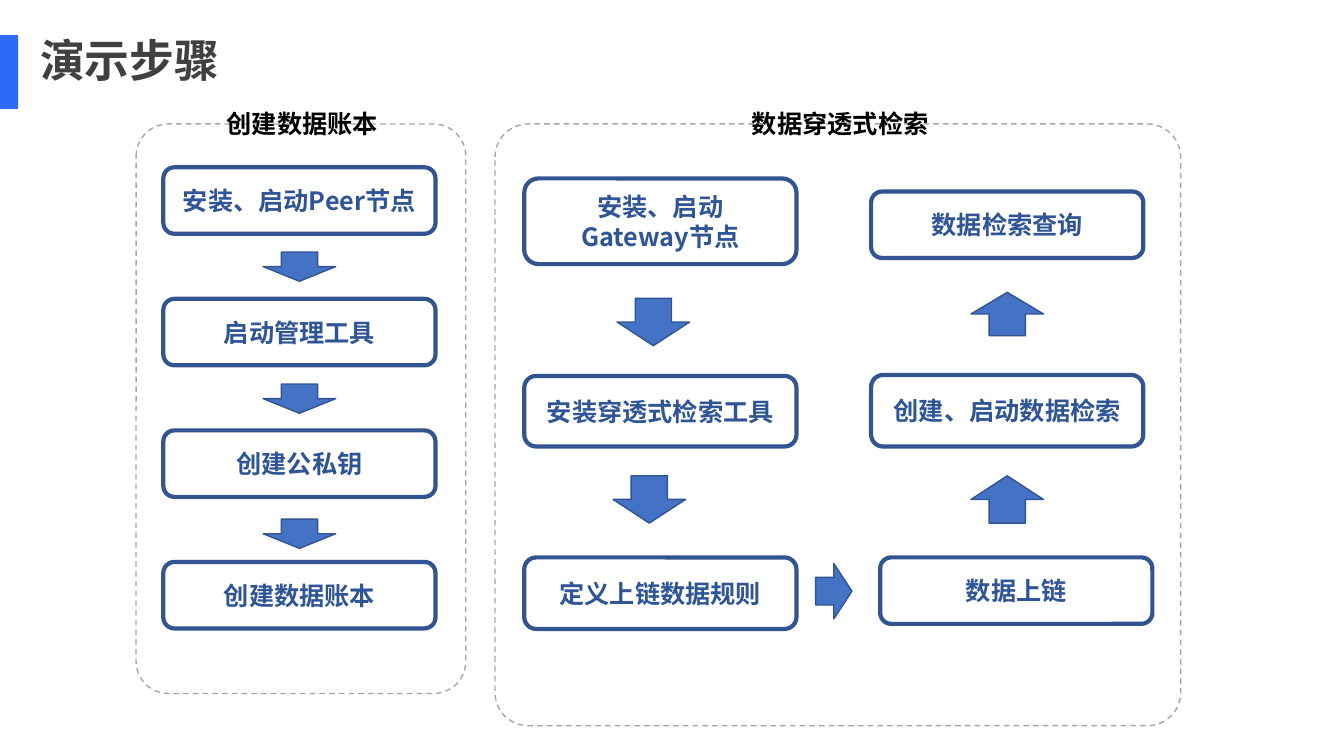
from dataclasses import dataclass

import pptx
import pptx.dml.color
import pptx.enum.dml
import pptx.enum.shapes
import pptx.enum.text
import pptx.oxml
import pptx.oxml.ns
import pptx.util

Inches = pptx.util.Inches
Shape = pptx.enum.shapes.MSO_SHAPE
Align = pptx.enum.text.PP_ALIGN
Anchor = pptx.enum.text.MSO_ANCHOR


@dataclass(frozen=True)
class Theme:
    font: str = "Noto Sans CJK SC"
    accent: str = "2C6AF9"
    title: str = "404040"
    label: str = "000000"
    step_text: str = "2F5597"
    outline: str = "325491"
    arrow: str = "4472C4"
    frame: str = "A6A6A6"
    title_size: int = 32
    body_size: int = 18
    step_line: int = 3
    thin_line: int = 1


@dataclass(frozen=True)
class Group:
    title: str
    title_left: float
    left: float
    width: float
    height: float
    corner: float


@dataclass(frozen=True)
class Step:
    text: str
    left: float
    top: float
    height: float = 0.66


@dataclass(frozen=True)
class Arrow:
    left: float
    top: float
    height: float = 0.47
    width: float = 0.72
    kind: Shape = Shape.DOWN_ARROW
    rotation: int = 0


THEME = Theme()
STEP_WIDTH = 2.7
GROUP_TOP = 1.23
LEDGER_LEFT, SEARCH_LEFT, QUERY_LEFT = 1.62, 5.2, 8.64
LEDGER_TOP, LEDGER_PITCH = 1.66, 1.305

GROUPS = [
    Group("创建数据账本", 2.15, 1.35, 3.27, 5.65, 0.098),
    Group("数据穿透式检索", 7.36, 4.91, 6.8, 5.97, 0.055),
]
LEDGER_STEPS = ["安装、启动Peer节点", "启动管理工具", "创建公私钥", "创建数据账本"]
STEPS = [
    Step(text, LEDGER_LEFT, LEDGER_TOP + row * LEDGER_PITCH)
    for row, text in enumerate(LEDGER_STEPS)
] + [
    Step("安装、启动\nGateway节点", SEARCH_LEFT, 1.77, 0.85),
    Step("安装穿透式检索工具", SEARCH_LEFT, 3.73, 0.7),
    Step("定义上链数据规则", SEARCH_LEFT, 5.53, 0.71),
    Step("数据上链", 8.73, 5.53),
    Step("创建、启动数据检索", QUERY_LEFT, 3.72, 0.71),
    Step("数据检索查询", QUERY_LEFT, 1.9),
]
ARROWS = [Arrow(2.61, top, 0.29) for top in (2.5, 3.81, 5.15)] + [
    Arrow(6.12, 2.96),
    Arrow(6.08, 4.72),
    Arrow(8.09, 5.59, 0.55, 0.36, Shape.RIGHT_ARROW),
    Arrow(9.63, 4.72, rotation=180),
    Arrow(9.63, 2.9, 0.43, rotation=180),
]


def rgb(color: str) -> pptx.dml.color.RGBColor:
    return pptx.dml.color.RGBColor.from_string(color)


def write_text(box, text: str, size: int, color: str, align: Align = Align.LEFT,
               anchor: Anchor = Anchor.MIDDLE) -> None:
    """Fill a box with bold text, one paragraph per line."""
    frame = box.text_frame
    frame.word_wrap = True
    frame.vertical_anchor = anchor
    frame.text = text
    for para in frame.paragraphs:
        para.alignment = align
        font = para.font
        font.name, font.size, font.bold = THEME.font, pptx.util.Pt(size), True
        font.color.rgb = rgb(color)
        # East Asian glyphs take their typeface from a:ea, after a:latin.
        defaults = para._p.pPr.find(pptx.oxml.ns.qn("a:defRPr"))
        east_asian = pptx.oxml.parse_xml(
            f'<a:ea {pptx.oxml.ns.nsdecls("a")} typeface="{THEME.font}"/>')
        defaults.append(east_asian)


def add_shape(page, kind: Shape, left: float, top: float, width: float, height: float,
              fill: str = "", line: str = "", line_width: int = THEME.thin_line):
    """Add a flat shape; an empty colour means no fill or no line."""
    shape = page.shapes.add_shape(
        kind, Inches(left), Inches(top), Inches(width), Inches(height))
    shape.shadow.inherit = False
    if fill:
        shape.fill.solid()
        shape.fill.fore_color.rgb = rgb(fill)
    else:
        shape.fill.background()
    if line:
        shape.line.color.rgb = rgb(line)
        shape.line.width = pptx.util.Pt(line_width)
    else:
        shape.line.fill.background()
    return shape


def add_title(page) -> None:
    add_shape(page, Shape.RECTANGLE, 0, 0.35, 0.18, 0.73, THEME.accent)
    box = page.shapes.add_textbox(Inches(0.3), Inches(0.39), Inches(11.65), Inches(0.47))
    write_text(box, "演示步骤", THEME.title_size, THEME.title)
    box.text_frame.paragraphs[0].line_spacing = 0.9


def add_group(page, group: Group) -> None:
    frame = add_shape(page, Shape.ROUNDED_RECTANGLE, group.left, GROUP_TOP,
                      group.width, group.height, line=THEME.frame)
    frame.adjustments[0] = group.corner
    frame.line.dash_style = pptx.enum.dml.MSO_LINE.DASH
    label = page.shapes.add_textbox(
        Inches(group.title_left), Inches(1.03), Inches(2.39), Inches(0.4))
    write_text(label, group.title, THEME.body_size, THEME.label, anchor=Anchor.TOP)
    label.text_frame.auto_size = pptx.enum.text.MSO_AUTO_SIZE.SHAPE_TO_FIT_TEXT


def add_step(page, step: Step) -> None:
    box = add_shape(page, Shape.ROUNDED_RECTANGLE, step.left, step.top, STEP_WIDTH,
                    step.height, line=THEME.outline, line_width=THEME.step_line)
    write_text(box, step.text, THEME.body_size, THEME.step_text, Align.CENTER)


def add_arrow(page, arrow: Arrow) -> None:
    shape = add_shape(page, arrow.kind, arrow.left, arrow.top, arrow.width,
                      arrow.height, THEME.arrow, THEME.outline)
    shape.rotation = arrow.rotation


def main() -> None:
    deck = pptx.Presentation()
    deck.slide_width, deck.slide_height = Inches(13.33), Inches(7.5)
    page = deck.slides.add_slide(deck.slide_layouts[6])
    add_title(page)
    for group in GROUPS:
        add_group(page, group)
    for step in STEPS:
        add_step(page, step)
    for arrow in ARROWS:
        add_arrow(page, arrow)
    deck.save("out.pptx")


if __name__ == "__main__":
    main()
